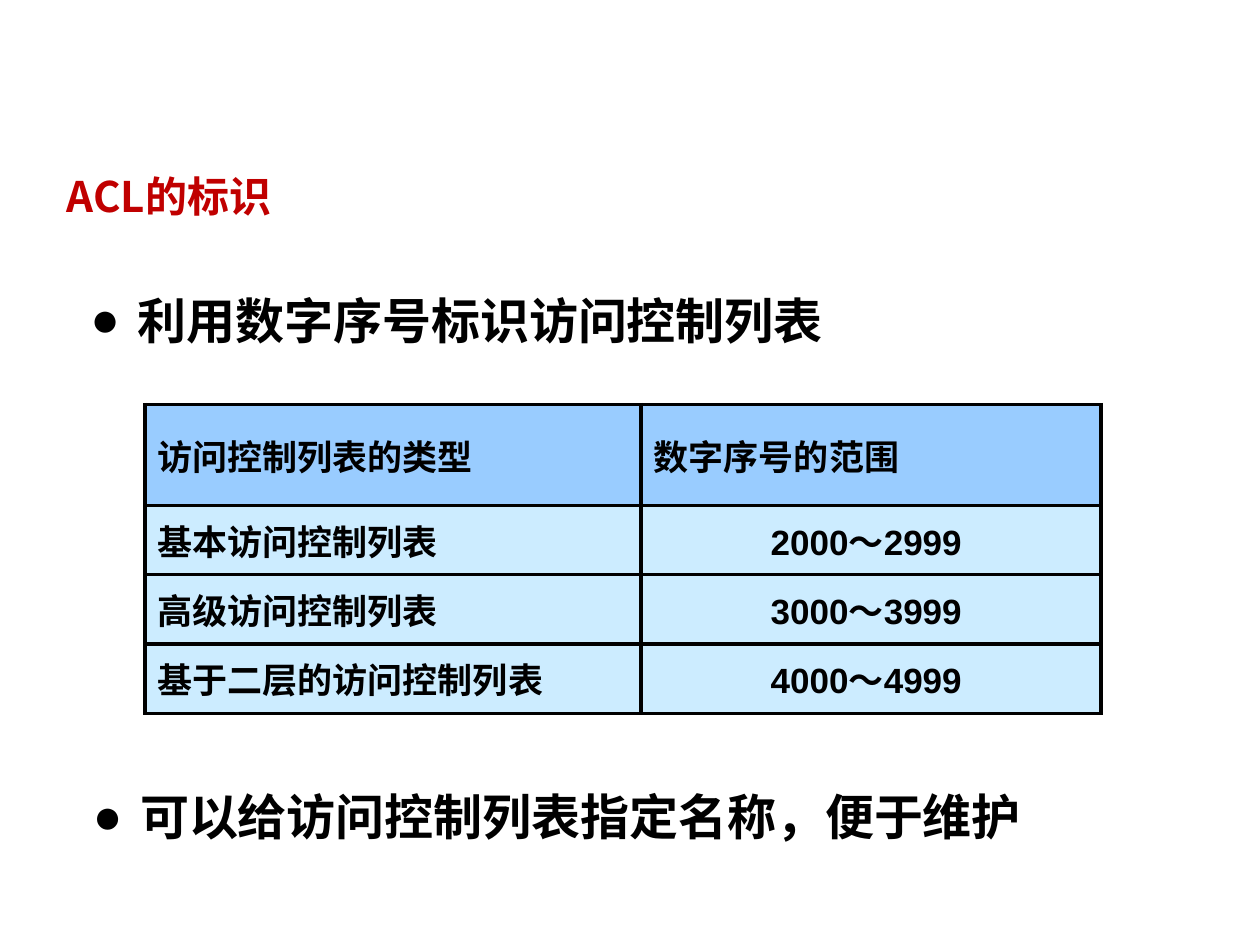
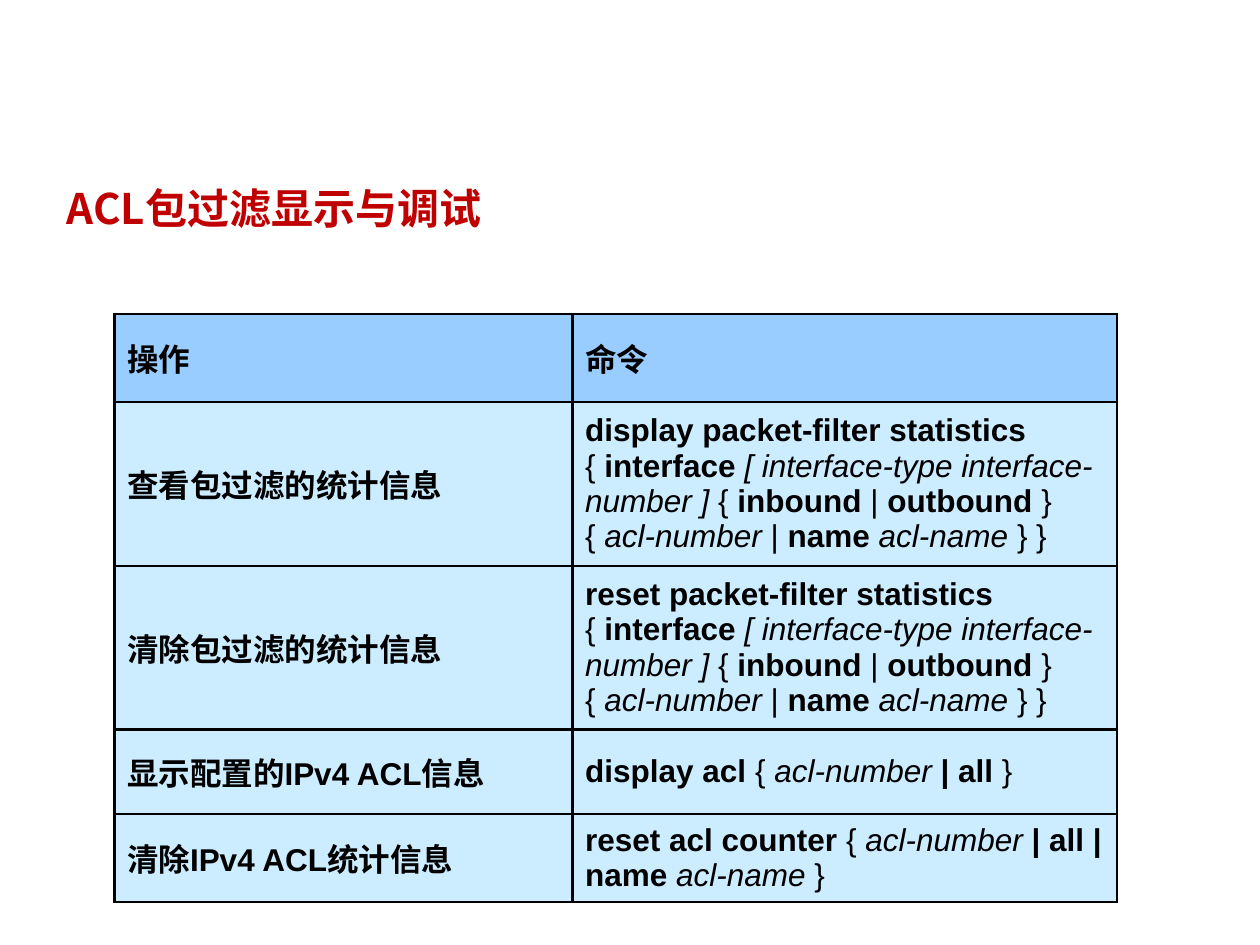
from lxml.etree import SubElement
from pptx import Presentation
from pptx.dml.color import RGBColor
from pptx.enum.text import MSO_ANCHOR, MSO_AUTO_SIZE, PP_ALIGN
from pptx.oxml import parse_xml
from pptx.oxml.ns import nsdecls, qn
from pptx.util import Pt

BLACK = "000000"
TITLE_RED = "C00000"
HEADER_BLUE = "99CCFF"
BODY_BLUE = "CCECFF"
LATIN_FONT = "Arial"
CJK_FONT = "Noto Sans CJK JP"

BOLD, ITALIC, PLAIN = "bold", "italic", "plain"

STATISTICS_OPTIONS = [
    ("{", PLAIN), (" interface ", BOLD),
    ("[ interface-type interface-number ] ", ITALIC),
    ("{ ", PLAIN), ("inbound", BOLD), (" | ", PLAIN), ("outbound", BOLD),
    (" } { ", PLAIN), ("acl-number", ITALIC), (" | ", PLAIN),
    ("name ", BOLD), ("acl-name", ITALIC), (" } }", PLAIN),
]
NUMBER_RANGES = [
    ("访问控制列表的类型", "数字序号的范围"),
    ("基本访问控制列表", "2000～2999 "),
    ("高级访问控制列表", "3000～3999 "),
    ("基于二层的访问控制列表", "4000～4999 "),
]
COMMANDS = [
    ("操作", "命令"),
    ("查看包过滤的统计信息",
     [("display packet-filter statistics ", BOLD), *STATISTICS_OPTIONS]),
    ("清除包过滤的统计信息",
     [("reset packet-filter statistics ", BOLD), *STATISTICS_OPTIONS]),
    ("显示配置的IPv4 ACL信息",
     [("display acl ", BOLD), ("{ ", PLAIN), ("acl-number", ITALIC),
      (" | all ", BOLD), ("}", PLAIN)]),
    ("清除IPv4 ACL统计信息",
     [("reset acl counter ", BOLD), ("{ ", PLAIN), ("acl-number ", ITALIC),
      ("| all | name ", BOLD), ("acl-name ", ITALIC), ("}", PLAIN)]),
]


def color(hex_value):
    """Turn a hex string into a colour."""
    return RGBColor.from_string(hex_value)


def format_span(span, size, style=BOLD, font=LATIN_FONT, ink=BLACK):
    """Set the fonts, size, style and colour of a run."""
    span.font.name = font
    span.font.size = Pt(size)
    span.font.bold = style == BOLD
    span.font.italic = style == ITALIC
    span.font.color.rgb = color(ink)
    latin = span.font._element.find(qn("a:latin"))
    latin.addnext(parse_xml(f'<a:ea {nsdecls("a")} typeface="{CJK_FONT}"/>'))


def add_title(page, text, top):
    """Place the red title at the given height."""
    title = page.shapes.title
    title.left, title.top, title.width, title.height = Pt(31), Pt(top), Pt(570), Pt(48)
    frame = title.text_frame
    frame.text = text
    frame.auto_size = MSO_AUTO_SIZE.NONE
    frame.vertical_anchor = MSO_ANCHOR.MIDDLE
    para = frame.paragraphs[0]
    para.alignment = PP_ALIGN.LEFT
    format_span(para.runs[0], 24, font=CJK_FONT, ink=TITLE_RED)


def add_bullet(page, text, box):
    """Add one large bulleted statement."""
    frame = page.shapes.add_textbox(*map(Pt, box)).text_frame
    frame.word_wrap = True
    frame.text = text
    para = frame.paragraphs[0]
    para.line_spacing = 1.1
    format_span(para.runs[0], 28)
    properties = para._p.get_or_add_pPr()
    properties.set("marL", str(Pt(27)))
    properties.set("indent", str(-Pt(27)))
    bullet_color = SubElement(properties, qn("a:buClr"))
    SubElement(bullet_color, qn("a:srgbClr"), val=BLACK)
    SubElement(properties, qn("a:buFont"), typeface=LATIN_FONT)
    SubElement(properties, qn("a:buChar"), char="●")


def set_borders(cell, width):
    """Draw a black line on each side of a cell."""
    properties = cell._tc.get_or_add_tcPr()
    for index, side in enumerate(("lnL", "lnR", "lnT", "lnB")):
        properties.insert(index, parse_xml(
            f'<a:{side} {nsdecls("a")} w="{Pt(width)}"><a:solidFill>'
            f'<a:srgbClr val="{BLACK}"/></a:solidFill></a:{side}>'))


def fill_cell(cell, content, size, fill, border):
    """Write plain or styled text into a cell and format it."""
    pieces = [(content, BOLD)] if isinstance(content, str) else content
    para = cell.text_frame.paragraphs[0]
    for text, style in pieces:
        span = para.add_run()
        span.text = text
        format_span(span, size, style)
    properties = para._p.get_or_add_pPr()
    for tag, percent in (("a:spcBef", 10), ("a:spcAft", 25)):
        SubElement(SubElement(properties, qn(tag)), qn("a:spcPct"), val=str(percent * 1000))
    cell.vertical_anchor = MSO_ANCHOR.MIDDLE
    cell.fill.solid()
    cell.fill.fore_color.rgb = color(fill)
    set_borders(cell, border)


def add_grid(page, rows, corner, widths, heights, size, border):
    """Add a two-tone table with a darker header row and return it."""
    box = (*corner, sum(widths), sum(heights))
    table = page.shapes.add_table(len(rows), len(widths), *map(Pt, box)).table
    for column, width in zip(table.columns, widths):
        column.width = Pt(width)
    for row_index, (row, height) in enumerate(zip(rows, heights)):
        table.rows[row_index].height = Pt(height)
        fill = BODY_BLUE if row_index else HEADER_BLUE
        for column_index, content in enumerate(row):
            fill_cell(table.cell(row_index, column_index), content, size, fill, border)
    return table


def build_identifiers(page):
    """Build the slide on how lists are numbered and named."""
    add_title(page, "ACL的标识", 88)
    add_bullet(page, "利用数字序号标识访问控制列表", (44.6, 159, 622, 48))
    add_bullet(page, "可以给访问控制列表指定名称，便于维护", (46, 442.8, 648, 75.6))
    table = add_grid(page, NUMBER_RANGES, (82.8, 231.2), (283.6, 262.8),
                     (57.6, 39.6, 39.6, 39.6), 20, 2.25)
    for row_index in range(1, len(NUMBER_RANGES)):
        table.cell(row_index, 1).text_frame.paragraphs[0].alignment = PP_ALIGN.CENTER


def build_commands(page):
    """Build the slide on display and debugging commands."""
    add_title(page, "ACL包过滤显示与调试", 94.5)
    add_grid(page, COMMANDS, (65.4, 179.3), (261.8, 311),
             (50.4, 93.6, 93.6, 48.2, 50.4), 18, 1.5)


def main():
    """Build and save the deck."""
    deck = Presentation()
    deck.slide_width, deck.slide_height = Pt(720), Pt(540)
    for build in (build_identifiers, build_commands):
        build(deck.slides.add_slide(deck.slide_layouts[5]))
    deck.save("out.pptx")


if __name__ == "__main__":
    main()
